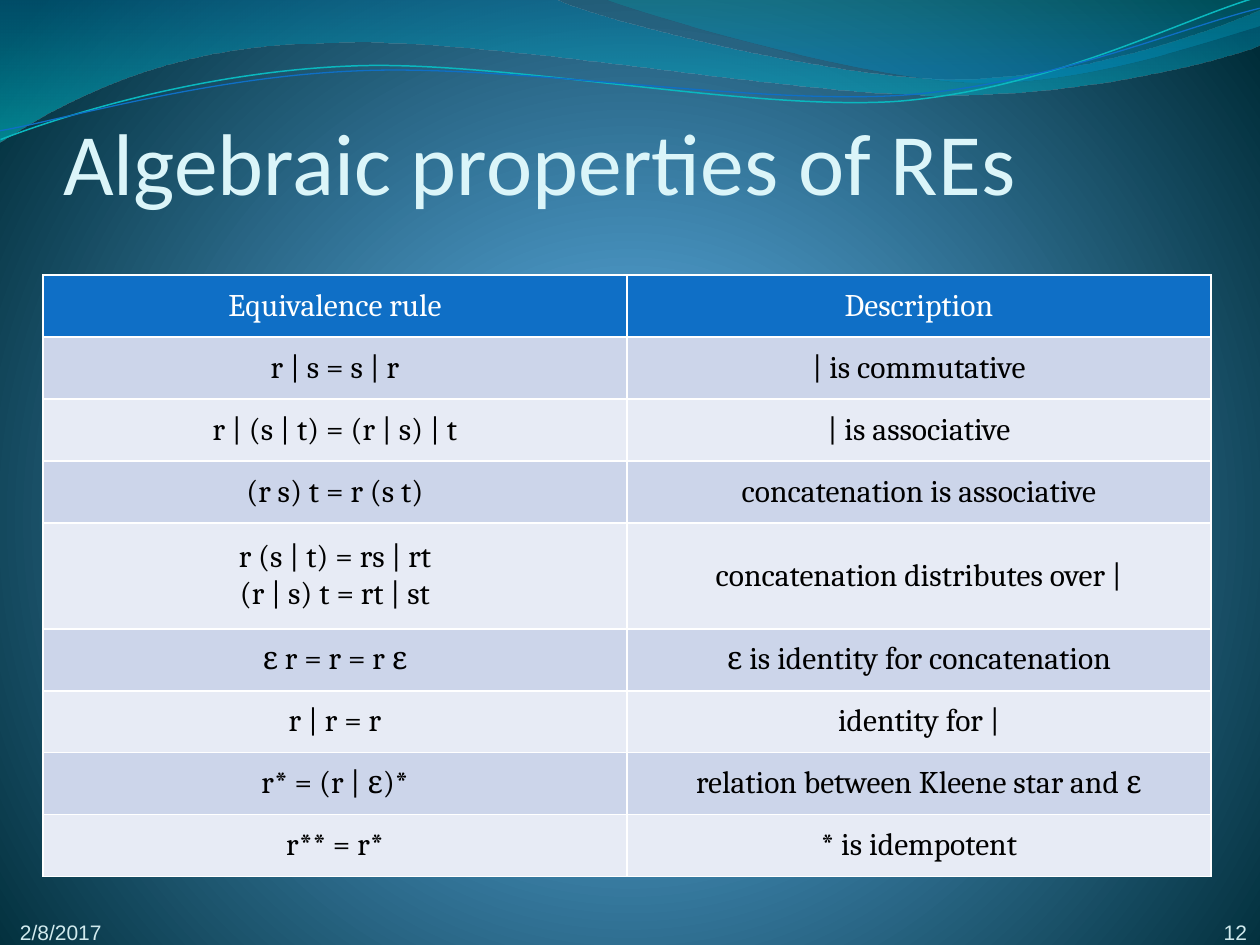
"""Build the slide on algebraic properties of regular expressions."""
from pptx import Presentation
from pptx import util as u
from pptx.dml.color import RGBColor
from pptx.enum import text as t
from pptx.oxml import ns, parse_xml

PX = 914400 / 126
COLORS = {
    "title": "DBF5F9", "footer": "D1EAEE", "white": "FFFFFF", "black": "000000",
    "header": "0F6FC6", "odd": "CCD5EA", "even": "E7EBF5",
    "teal line": "0AB8BF", "blue line": "0F6FC6",
    "sky": "4AA0D6", "steel": "4C98C7", "night": "002C38",
    "wave blue": "0074A1", "wave cyan": "00C6CF",
    "crest green": "00A1A9", "crest blue": "008BBF",
}


def write(frame, words, size, font, color, align=t.PP_ALIGN.LEFT):
    """Fill a text frame, one paragraph for each line of words."""
    frame.text = words
    for para in frame.paragraphs:
        para.alignment = align
        for span in para.runs:
            span.font.size = u.Pt(size)
            span.font.name = font
            span.font.bold = False
            span.font.color.rgb = RGBColor.from_string(COLORS[color])


def set_gradient(owner, fill, stops, direction):
    """Give a fill colour stops of (position, colour, opacity) in percent."""
    fill.gradient()
    old = owner.element.find(".//" + ns.qn("a:gradFill"))
    marks = "".join(
        f'<a:gs pos="{pos * 1000}"><a:srgbClr val="{COLORS[color]}">'
        f'<a:alpha val="{opacity * 1000}"/></a:srgbClr></a:gs>'
        for pos, color, opacity in stops)
    new = parse_xml(f'<a:gradFill {ns.nsdecls("a")} rotWithShape="1">'
                    f"<a:gsLst>{marks}</a:gsLst>{direction}</a:gradFill>")
    old.getparent().replace(old, new)


deck = Presentation()
deck.slide_width, deck.slide_height = u.Emu(round(1260 * PX)), u.Emu(round(945 * PX))
page = deck.slides.add_slide(deck.slide_layouts[5])
set_gradient(page, page.background.fill,
             [(0, "sky", 100), (25, "steel", 100), (100, "night", 100)],
             '<a:path path="circle"><a:fillToRect l="10000" t="110000" '
             'r="10000" b="100000"/></a:path>')

waves = [
    ([(0, -1), (554, -1), (600, 21, 837, 79, 955, 79), (1075, 79, 1207, 33, 1260, 11),
      (1261, 45), (1239, 55, 1096, 96, 940, 95), (783, 95, 481, 35, 324, 43),
      (163, 44, 58, 105, -1, 142)],
     [(0, "wave blue", 45), (100, "wave cyan", 55)], None),
    ([(604, -1), (641, 14, 859, 78, 969, 82), (1079, 87, 1211, 40, 1260, 26), (1260, 0)],
     [(0, "crest green", 30), (80, "crest blue", 45)], None),
    ([(-2, 110), (58, 90, 199, 52, 350, 53), (499, 53, 745, 117, 896, 114),
      (1049, 109, 1184, 45, 1260, 27)], None, ("teal line", 0.85)),
    ([(-2, 101), (57, 94, 207, 57, 357, 58), (509, 58, 750, 111, 902, 108),
      (1052, 104, 1187, 52, 1262, 38)], None, ("blue line", 0.75)),
]
for segments, stops, stroke in waves:
    ends = [(x * PX, y * PX) for *_, x, y in segments]
    builder = page.shapes.build_freeform(*ends[0])
    builder.add_line_segments(ends[1:], close=False)
    wave = builder.convert_to_shape()
    wave.shadow.inherit = False

    moves = ""
    for number, segment in enumerate(segments):
        tag = "moveTo" if number == 0 else "lnTo" if len(segment) == 2 else "cubicBezTo"
        marks = "".join(
            f'<a:pt x="{round(x * PX) - wave.left}" y="{round(y * PX) - wave.top}"/>'
            for x, y in zip(segment[::2], segment[1::2]))
        moves += f"<a:{tag}>{marks}</a:{tag}>"
    if stops:
        moves += "<a:close/>"
    outline = wave.element.find(".//" + ns.qn("a:path"))
    outline.getparent().replace(outline, parse_xml(
        f'<a:path {ns.nsdecls("a")} w="{wave.width}" h="{wave.height}">{moves}</a:path>'))

    if stops:
        set_gradient(wave, wave.fill, stops, '<a:lin ang="5400000" scaled="0"/>')
        wave.line.fill.background()
    else:
        wave.rotation = 357.3
        wave.fill.background()
        wave.line.color.rgb = RGBColor.from_string(COLORS[stroke[0]])
        wave.line.width = u.Pt(stroke[1])

title = page.shapes.title
title.left, title.top, title.width, title.height = (
    u.Emu(round(v * PX)) for v in (63, 78, 1168, 158))
frame = title.text_frame
frame.margin_left = frame.margin_right = frame.margin_bottom = 0
frame.margin_top = u.Inches(0.05)
frame.vertical_anchor = t.MSO_ANCHOR.MIDDLE
frame.auto_size = t.MSO_AUTO_SIZE.NONE
write(frame, "Algebraic properties of REs", 50, "Calibri", "title")

rules = [
    ("Equivalence rule", "Description"),
    ("r | s = s | r", "| is commutative"),
    ("r | (s | t) = (r | s) | t", "| is associative"),
    ("(r s) t = r (s t)", "concatenation is associative"),
    ("r (s | t) = rs | rt\n(r | s) t = rt | st", "concatenation distributes over |"),
    ("ε r = r = r ε", "ε is identity for concatenation"),
    ("r | r = r", "identity for |"),
    ("r* = (r | ε)*", "relation between Kleene star and ε"),
    ("r** = r*", "* is idempotent"),
]
heights = [106 if "\n" in rule else 62 for rule, _ in rules]
table = page.shapes.add_table(
    len(rules), 2, *(u.Emu(round(v * PX)) for v in (43, 275, 1168, sum(heights)))).table
for row, (texts, height) in enumerate(zip(rules, heights)):
    table.rows[row].height = u.Emu(round(height * PX))
    shade = "header" if row == 0 else "odd" if row % 2 else "even"
    for column, words in enumerate(texts):
        cell = table.cell(row, column)
        cell.vertical_anchor = t.MSO_ANCHOR.MIDDLE
        write(cell.text_frame, words, 18, "Cambria",
              "white" if row == 0 else "black", t.PP_ALIGN.CENTER)
        cell.fill.solid()
        cell.fill.fore_color.rgb = RGBColor.from_string(COLORS[shade])

for words, place, align in [
    ("2/8/2017", (20, 916, 186, 29), t.PP_ALIGN.LEFT),
    ("12", (1142, 915, 105, 30), t.PP_ALIGN.RIGHT),
]:
    box = page.shapes.add_textbox(*(u.Emu(round(v * PX)) for v in place))
    frame = box.text_frame
    frame.word_wrap = True
    frame.margin_left = frame.margin_right = frame.margin_top = frame.margin_bottom = 0
    frame.vertical_anchor = t.MSO_ANCHOR.BOTTOM
    write(frame, words, 12, "Arial", "footer", align)

deck.save("out.pptx")
